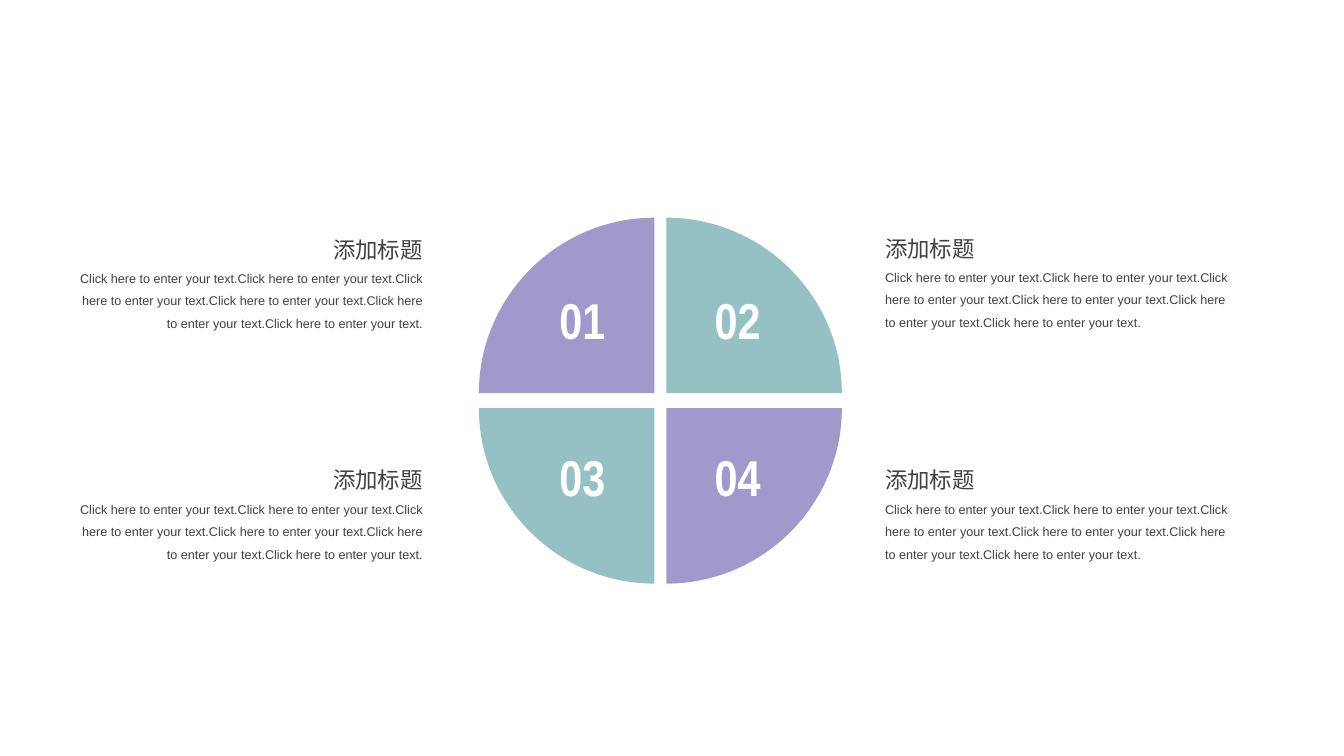
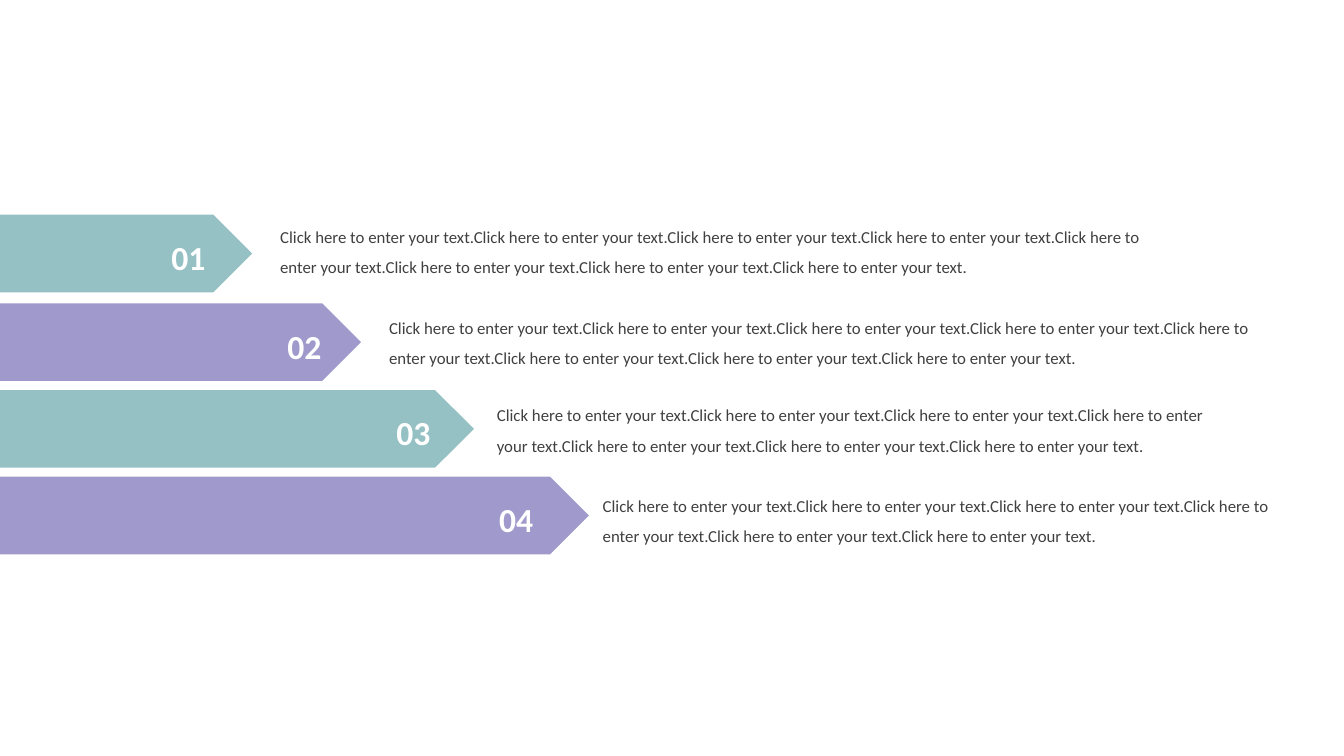
from lxml.etree import SubElement
from pptx import Presentation
from pptx.dml.color import RGBColor
from pptx.enum.shapes import MSO_SHAPE
from pptx.enum.text import MSO_AUTO_SIZE, PP_ALIGN
from pptx.oxml.ns import qn
from pptx.util import Pt

PX = 9144
WIDE, HIGH = 1333, 750
BEND = 0.55
TEAL = RGBColor(0x95, 0xC1, 0xC4)
LILAC = RGBColor(0xA0, 0x99, 0xCB)
WHITE = RGBColor(0xFF, 0xFF, 0xFF)
GREY = RGBColor(0x40, 0x40, 0x40)
LEFT, RIGHT, MIDDLE = PP_ALIGN.LEFT, PP_ALIGN.RIGHT, PP_ALIGN.CENTER
TITLE = "添加标题"
PHRASE = "Click here to enter your text."


def px(*sizes):
    return [round(size * PX) for size in sizes]


def paint(shape, color):
    shape.shadow.inherit = False
    shape.fill.solid()
    shape.fill.fore_color.rgb = color
    shape.line.fill.background()


def write(slide, box, text, size, font="Calibri", color=GREY, bold=False,
          align=LEFT, wrap=False, spacing=None):
    frame = slide.shapes.add_textbox(*px(*box)).text_frame
    frame.word_wrap = wrap
    frame.auto_size = MSO_AUTO_SIZE.SHAPE_TO_FIT_TEXT
    para = frame.paragraphs[0]
    para.alignment = align
    para.line_spacing = spacing
    run = para.add_run()
    run.text = text
    run.font.size = Pt(size)
    run.font.name = font
    run.font.bold = bold
    run.font.color.rgb = color


def quarter(slide, box, east, south, color, number):
    left, top, side = box

    def place(across, down):
        return (across if east else 1 - across) * side, (
            down if south else 1 - down) * side

    def point(across, down):
        x, y = place(across, down)
        return px(left + x, top + y)

    path = slide.shapes.build_freeform(*point(0, 0))
    path.add_line_segments([point(1, 0), point(0, 1)], close=True)
    shape = path.convert_to_shape()
    edge = list(shape._element.iter(qn("a:lnTo")))[1]
    edge.tag = qn("a:cubicBezTo")
    edge.clear()
    for spot in ((1, BEND), (BEND, 1), (0, 1)):
        x, y = px(*place(*spot))
        SubElement(edge, qn("a:pt"), x=str(x), y=str(y))
    paint(shape, color)
    spot = (left + (38 if east else 70), top + (33 if south else 66), 72, 70)
    write(slide, spot, number, 36, "Arial Narrow", WHITE, True)


def caption(slide, box, align):
    left, top, width = box
    head = 110
    start = left + width - head if align == RIGHT else left
    write(slide, (start, top, head, 37), TITLE, 16, align=align)
    write(slide, (left, top + 27, width, 78), PHRASE * 6, 9, "Arial",
          align=align, wrap=True, spacing=1.5)


def wheel(slide):
    columns = [(475, 61, RIGHT), (661, 868, LEFT)]
    rows = [(216, (229, 228)), (405, (458, 458))]
    for row, (top, tops) in enumerate(rows):
        for col, (left, text_left, align) in enumerate(columns):
            color = LILAC if row == col else TEAL
            quarter(slide, (left, top, 174), col == 1, row == 1, color,
                    f"{row * 2 + col + 1:02}")
            caption(slide, (text_left, tops[col], 368), align)


def arrow(slide, box, color, number, inset):
    left, top, width, height = box
    plate = slide.shapes.add_shape(MSO_SHAPE.PENTAGON, *px(*box))
    paint(plate, color)
    spot = (left + width - inset, top + 17, 54, 50)
    write(slide, spot, number, 24, color=WHITE, bold=True, align=MIDDLE)


def stairs(slide):
    steps = [(213, 251, 90, (268, 210, 875, 70), 8),
             (301, 359, 83, (376, 300, 875, 70), 8),
             (387, 471, 87, (483, 387, 743, 70), 7),
             (473, 585, 99, (588, 477, 720, 70), 6)]
    for row, (top, width, inset, box, count) in enumerate(steps):
        color = LILAC if row % 2 else TEAL
        arrow(slide, (-1, top, width, 77), color, f"{row + 1:02}", inset)
        write(slide, box, PHRASE * count, 12, wrap=True, spacing=1.5)


def main():
    deck = Presentation()
    deck.slide_width, deck.slide_height = px(WIDE, HIGH)
    for build in (wheel, stairs):
        build(deck.slides.add_slide(deck.slide_layouts[6]))
    deck.save("out.pptx")


if __name__ == "__main__":
    main()
